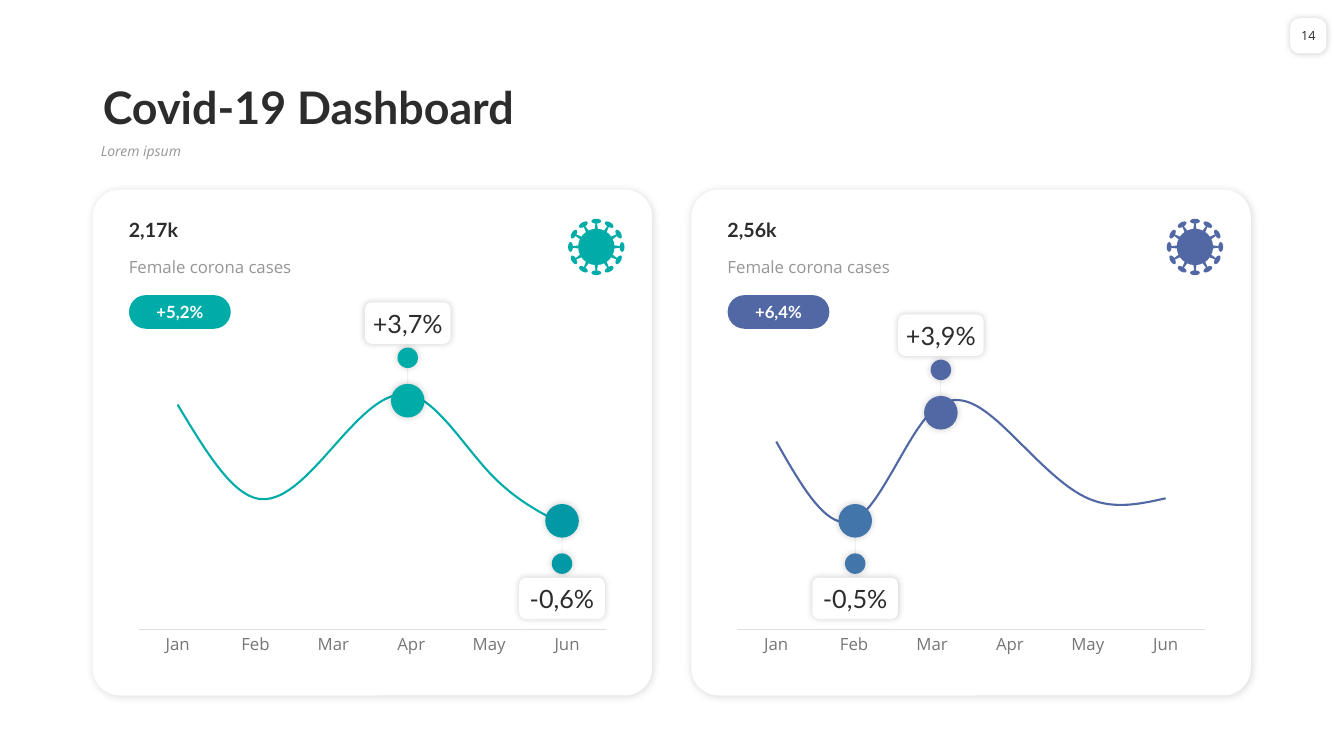
"""Build a dashboard slide with two smooth line-chart cards and callouts."""
import math
from lxml import etree
from pptx import Presentation
from pptx.chart.data import CategoryChartData
from pptx.dml.color import RGBColor
from pptx.enum import chart as charts, shapes, text
from pptx.oxml import parse_xml
from pptx.oxml.ns import nsdecls, qn
from pptx.util import Pt

TITLE, SUBTITLE, PAGE_NUMBER = "Covid-19 Dashboard", "Lorem ipsum", "14"
MONTHS = ["Jan", "Feb", "Mar", "Apr", "May", "Jun"]
CARDS = [
    {"total": "2,17k", "label": "Female corona cases", "change": "+5,2%",
     "color": "teal", "values": [96, 56, 78, 100, 67, 44], "axis_max": 110,
     "callouts": [("+3,7%", 225, 286.2, -1, "teal"),
                  ("-0,6%", 335.2, 372, 1, "teal_dark")]},
    {"total": "2,56k", "label": "Female corona cases", "change": "+6,4%",
     "color": "indigo", "values": [86, 50, 100, 90, 60, 60], "axis_max": 118,
     "callouts": [("+3,9%", 178.2, 294.8, -1, "indigo"),
                  ("-0,5%", 117, 372, 1, "blue")]},
]

THEME = {
    "color": {"ink": "2C2C2C", "muted": "969696", "axis": "767676",
              "rule": "DFDFDF", "white": "FFFFFF", "teal": "00ACA8",
              "teal_dark": "0099A5", "indigo": "5268A5", "blue": "4276AA"},
    "font": {"head": "Lato", "body": "Open Sans"},
    "size": {"title": 32, "callout": 18, "total": 14, "label": 12,
             "subtitle": 10, "page": 9},
}
CARD_LEFT, CARD_TOP, CARD_WIDTH, CARD_HEIGHT, CARD_STEP = 66.24, 135.4, 399.6, 361.4, 427.6
SPIKES = 12
KINDS = shapes.MSO_SHAPE
MIDDLE, BOTTOM = text.MSO_ANCHOR.MIDDLE, text.MSO_ANCHOR.BOTTOM
CENTER = text.PP_ALIGN.CENTER


def rgb(name):
    return RGBColor.from_string(THEME["color"][name])


def apply(target, values):
    for name, value in values.items():
        setattr(target, name, value)


def style_font(font, size, face, color, **extra):
    apply(font, {"size": Pt(THEME["size"][size]), "name": THEME["font"][face], **extra})
    font.color.rgb = rgb(color)


def write(box, words, style, frame=None, para=None):
    body = box.text_frame
    apply(body, {"word_wrap": True, **(frame or {})})
    paragraph = body.paragraphs[0]
    apply(paragraph, para or {})
    span = paragraph.add_run()
    span.text = words
    style_font(span.font, **style)
    return paragraph


def margins(side, top):
    return {"margin_left": Pt(side), "margin_right": Pt(side),
            "margin_top": Pt(top), "margin_bottom": Pt(top)}


def add_shape(owner, kind, left, top, width, height, color, adjust=None, shadow=None):
    shape = owner.add_shape(kind, Pt(left), Pt(top), Pt(width), Pt(height))
    shape.shadow.inherit = False
    shape.fill.solid()
    shape.fill.fore_color.rgb = rgb(color)
    shape.line.fill.background()
    if adjust is not None:
        shape.adjustments[0] = adjust
    if shadow:
        alpha, blur, distance = shadow
        effects = shape._element.spPr.find(qn("a:effectLst"))
        effects.append(parse_xml(
            f'<a:outerShdw {nsdecls("a")} blurRad="{Pt(blur)}" dist="{Pt(distance)}" '
            f'dir="2700000" algn="ctr" rotWithShape="0"><a:srgbClr val="000000">'
            f'<a:alpha val="{alpha * 1000}"/></a:srgbClr></a:outerShdw>'))
    return shape


def add_centered(owner, kind, x, y, width, height, color, **options):
    return add_shape(owner, kind, x - width / 2, y - height / 2, width, height, color, **options)


def add_label(page, left, top, height, words, style, frame=None):
    box = page.shapes.add_textbox(Pt(left), Pt(top), Pt(360.7), Pt(height))
    write(box, words, style, {"auto_size": text.MSO_AUTO_SIZE.SHAPE_TO_FIT_TEXT, **(frame or {})})


def add_trend(page, left, card):
    data = CategoryChartData()
    data.categories = MONTHS
    data.add_series("Series 1", card["values"])
    chart = page.shapes.add_chart(charts.XL_CHART_TYPE.LINE, Pt(left), Pt(259.2),
                                  Pt(347.8), Pt(213.8), data).chart
    apply(chart, {"has_legend": False, "has_title": False})
    style_font(chart.font, "label", "body", "ink")
    chart.plots[0].vary_by_categories = False
    series = chart.plots[0].series[0]
    series.smooth = True
    series.marker.style = charts.XL_MARKER_STYLE.NONE
    series.format.line.width = Pt(1.5)
    series.format.line.color.rgb = rgb(card["color"])
    apply(chart.value_axis, {"visible": False, "has_major_gridlines": False,
                             "minimum_scale": 0, "maximum_scale": card["axis_max"]})
    months = chart.category_axis
    apply(months, {"major_tick_mark": charts.XL_TICK_MARK.NONE,
                   "minor_tick_mark": charts.XL_TICK_MARK.NONE, "has_major_gridlines": False})
    style_font(months.tick_labels.font, "label", "body", "axis")
    months.format.line.width = Pt(0.75)
    months.format.line.color.rgb = rgb("rule")
    plot_area = chart._chartSpace.chart.plotArea
    for old in plot_area.findall(qn("c:layout")):
        plot_area.remove(old)
    plot_area.insert(0, parse_xml(
        f'<c:layout {nsdecls("c")}><c:manualLayout><c:layoutTarget val="inner"/>'
        '<c:xMode val="edge"/><c:yMode val="edge"/><c:x val="0.02"/><c:y val="0.03"/>'
        '<c:w val="0.96"/><c:h val="0.86"/></c:manualLayout></c:layout>'))


def add_callout(page, x, y, words, direction, color):
    glow = (20, 5, 0)
    add_centered(page.shapes, KINDS.OVAL, x, y, 24, 24, color, shadow=glow)
    stem = page.shapes.add_connector(shapes.MSO_CONNECTOR.STRAIGHT, Pt(x), Pt(y + direction * 12),
                                     Pt(x), Pt(y + direction * 23.4))
    stem.line.width = Pt(0.5)
    stem.line.color.rgb = rgb("ink")
    properties = stem._element.spPr
    tint = properties.find(".//" + qn("a:srgbClr"))
    etree.SubElement(tint, qn("a:alpha"), val="10000")
    etree.SubElement(properties, qn("a:effectLst"))
    add_centered(page.shapes, KINDS.OVAL, x, y + direction * 30.6, 14.6, 14.6, color, shadow=glow)
    box = add_centered(page.shapes, KINDS.ROUNDED_RECTANGLE, x, y + direction * 55.4, 61.2, 29.6,
                       "white", shadow=glow)
    write(box, words, {"size": "callout", "face": "head", "color": "ink"},
          {"vertical_anchor": MIDDLE, **margins(2.9, 3.6)}, {"alignment": CENTER})


def add_virus(page, x, y, color):
    virus = page.shapes.add_group_shape().shapes
    add_centered(virus, KINDS.OVAL, x, y, 26, 26, color)
    for spike in range(SPIKES):
        angle = 360 / SPIKES * spike
        across, up = math.sin(math.radians(angle)), math.cos(math.radians(angle))
        for kind, reach, width, height, adjust in ((KINDS.OVAL, 18.4, 7, 3.5, None),
                                                   (KINDS.TRAPEZOID, 15, 2.2, 4.5, 0.27)):
            part = add_centered(virus, kind, x + reach * across, y - reach * up,
                                width, height, color, adjust=adjust)
            part.rotation = angle


def add_card(page, left, card):
    add_shape(page.shapes, KINDS.ROUNDED_RECTANGLE, left, CARD_TOP, CARD_WIDTH, CARD_HEIGHT,
              "white", adjust=0.054, shadow=(15, 6, 1))
    add_label(page, left + 18.7, 152, 24.2, card["total"],
              {"size": "total", "face": "head", "color": "ink", "bold": True},
              {"vertical_anchor": BOTTOM})
    add_label(page, left + 18.7, 180, 21.8, card["label"],
              {"size": "label", "face": "body", "color": "muted"})
    pill = add_shape(page.shapes, KINDS.ROUNDED_RECTANGLE, left + 25.9, 210.8, 72.7, 24,
                     card["color"], adjust=0.5)
    write(pill, card["change"], {"size": "label", "face": "head", "color": "white", "bold": True},
          {"vertical_anchor": MIDDLE, **margins(0, 0)}, {"alignment": CENTER})
    add_trend(page, left + 25.9, card)
    for words, x, y, direction, color in card["callouts"]:
        add_callout(page, left + x, y, words, direction, color)
    add_virus(page, left + 359.7, 176.4, card["color"])


def add_heading(page):
    title, subtitle = page.placeholders
    apply(title, {"left": Pt(66.24), "top": Pt(41.8), "width": Pt(828), "height": Pt(57.6)})
    apply(subtitle, {"left": Pt(64.8), "top": Pt(99.4), "width": Pt(829.4), "height": Pt(25.9)})
    flow = {"alignment": text.PP_ALIGN.LEFT, "line_spacing": 0.9}
    fixed = {"auto_size": text.MSO_AUTO_SIZE.NONE}
    write(title, TITLE, {"size": "title", "face": "head", "color": "ink", "bold": True},
          {"vertical_anchor": BOTTOM, **fixed}, flow)
    para = write(subtitle, SUBTITLE,
                 {"size": "subtitle", "face": "body", "color": "muted", "italic": True},
                 fixed, {**flow, "space_before": Pt(10)})
    settings = para._p.get_or_add_pPr()
    settings.set("marL", "0")
    settings.set("indent", "0")
    etree.SubElement(settings, qn("a:buNone"))
    badge = add_shape(page.shapes, KINDS.ROUNDED_RECTANGLE, 921.6, 13, 25.9, 25.2, "white",
                      adjust=0.267, shadow=(20, 5, 0))
    write(badge, PAGE_NUMBER, {"size": "page", "face": "body", "color": "ink"},
          {"word_wrap": False, "vertical_anchor": MIDDLE, **margins(0, 3.6)},
          {"alignment": CENTER})


def main():
    deck = Presentation()
    apply(deck, {"slide_width": Pt(960), "slide_height": Pt(540)})
    page = deck.slides.add_slide(deck.slide_layouts[1])
    add_heading(page)
    for index, card in enumerate(CARDS):
        add_card(page, CARD_LEFT + index * CARD_STEP, card)
    deck.save("out.pptx")


if __name__ == "__main__":
    main()
